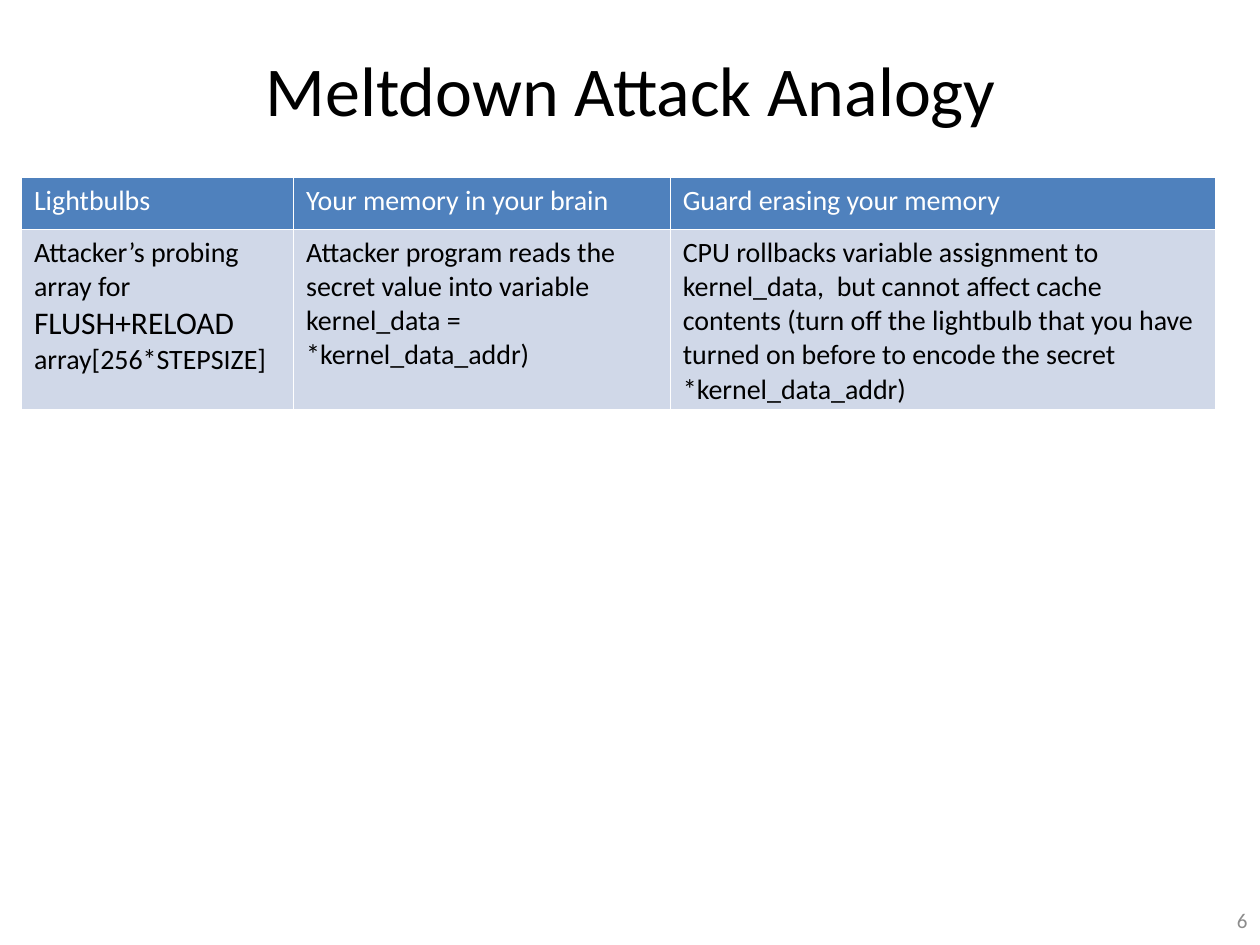
from pptx import Presentation
from pptx import util as u
from pptx.dml.color import RGBColor
from pptx.enum import text

BLACK = RGBColor(0x00, 0x00, 0x00)
WHITE = RGBColor(0xFF, 0xFF, 0xFF)
GREY = RGBColor(0x8C, 0x8C, 0x8C)
BLUE = RGBColor(0x4F, 0x81, 0xBD)
PALE = RGBColor(0xD0, 0xD8, 0xE8)


def add_run(p, words, size, color):
    r = p.add_run()
    r.text = words
    for name, value in {"name": "Calibri", "size": u.Pt(size), "bold": False}.items():
        setattr(r.font, name, value)
    r.font.color.rgb = color


prs = Presentation()
prs.slide_width, prs.slide_height = u.Inches(10), u.Inches(7.5)
s = prs.slides.add_slide(prs.slide_layouts[6])

boxes = [
    ("6", (7.67, 7.1, 2.33, 0.4), 12, GREY, text.PP_ALIGN.RIGHT),
    ("Meltdown Attack Analogy", (0.17, 0.08, 9.67, 1.25), 40, BLACK, text.PP_ALIGN.CENTER),
]
for words, place, size, color, align in boxes:
    tf = s.shapes.add_textbox(*map(u.Inches, place)).text_frame
    for name, value in {"word_wrap": True, "vertical_anchor": text.MSO_ANCHOR.MIDDLE}.items():
        setattr(tf, name, value)
    p = tf.paragraphs[0]
    p.alignment = align
    add_run(p, words, size, color)

widths = [2.16, 2.99, 4.33]
heights = [0.41, 1.43]
rows = [
    (BLUE, WHITE, [
        [("Lightbulbs", 16)],
        [("Your memory in your brain", 16)],
        [("Guard erasing your memory", 16)],
    ]),
    (PALE, BLACK, [
        [("Attacker’s probing array for ", 16), ("FLUSH+RELOAD", 18), (" array[256*STEPSIZE]", 16)],
        [("Attacker program reads the secret value into variable "
          "kernel_data = *kernel_data_addr)", 16)],
        [("CPU rollbacks variable assignment to kernel_data,  but cannot affect cache contents "
          "(turn off the lightbulb that you have turned on before to encode the secret "
          "*kernel_data_addr)", 16)],
    ]),
]
table = s.shapes.add_table(
    len(rows), len(widths), u.Inches(0.17), u.Inches(1.41),
    u.Inches(sum(widths)), u.Inches(sum(heights))).table
for column, width in zip(table.columns, widths):
    column.width = u.Inches(width)
for row, height, (fill, color, cells) in zip(table.rows, heights, rows):
    row.height = u.Inches(height)
    for cell, runs in zip(row.cells, cells):
        cell.fill.solid()
        cell.fill.fore_color.rgb = fill
        for words, size in runs:
            add_run(cell.text_frame.paragraphs[0], words, size, color)

prs.save("out.pptx")
